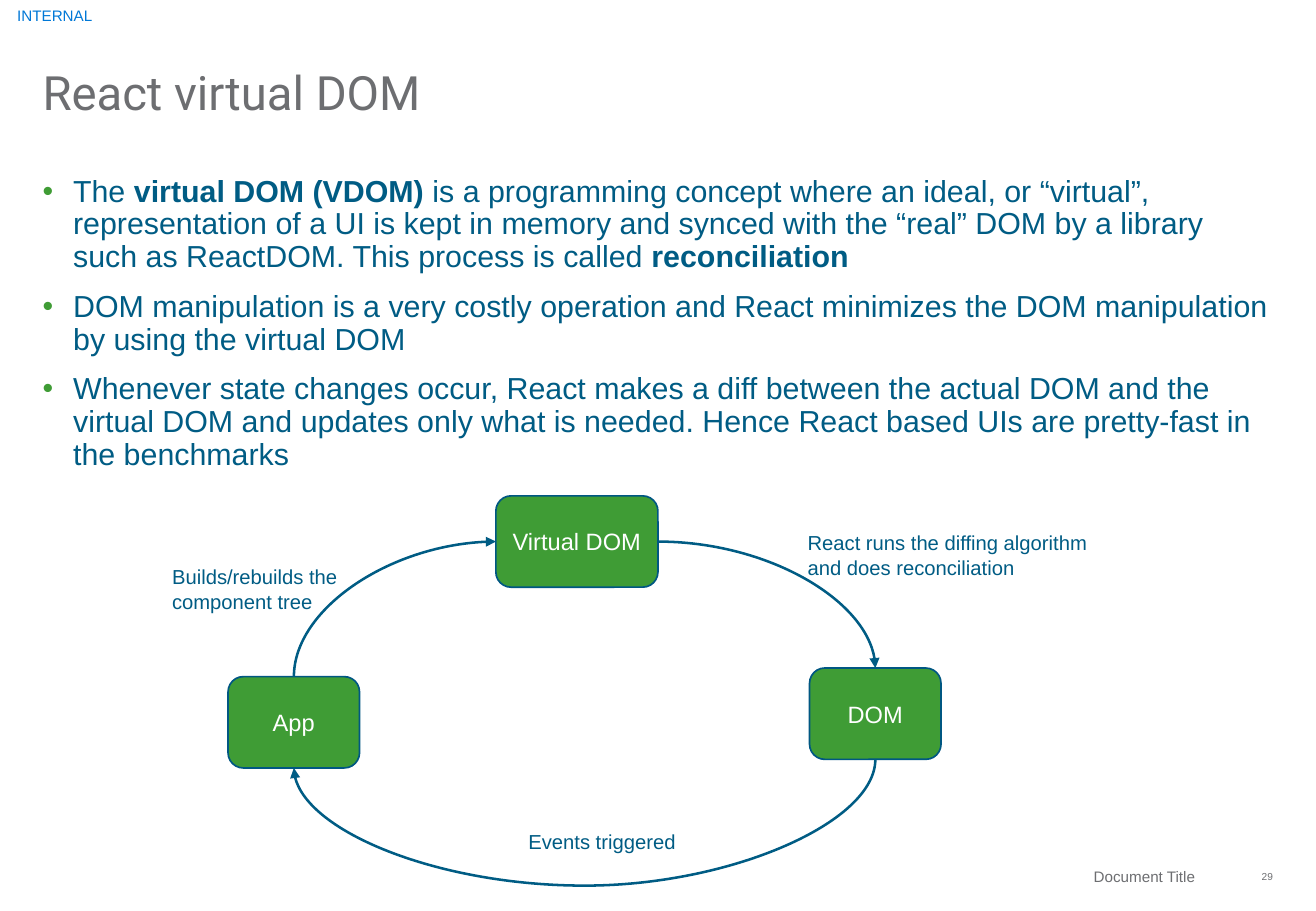
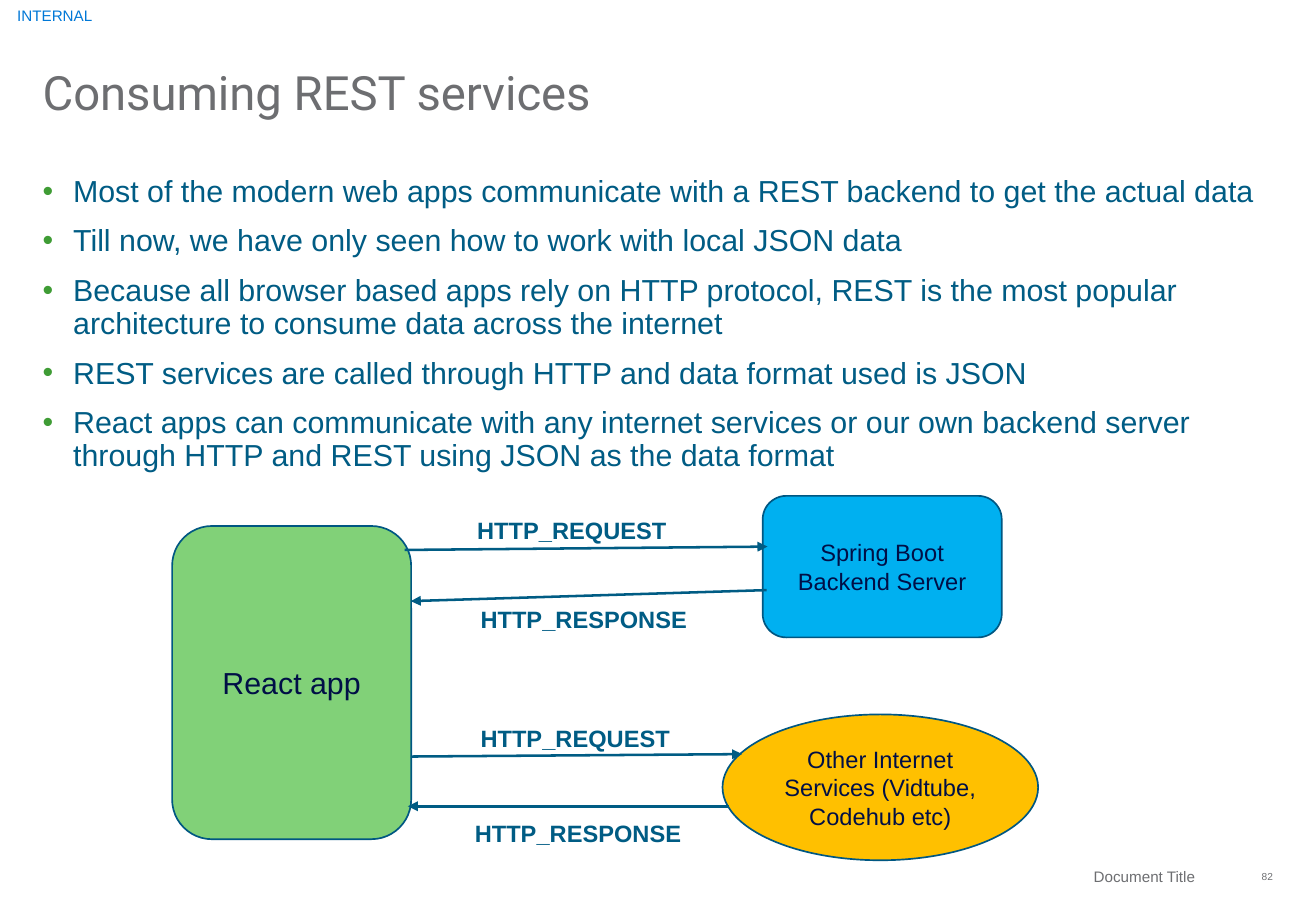
from pptx import Presentation
from pptx.dml.color import RGBColor
from pptx.enum import shapes, text
from pptx.oxml import ns
from pptx.util import Cm, Pt
from lxml import etree

BLUE, GREEN, GREY, WHITE = "005C84", "3F9C35", "6D6E71", "FFFFFF"
NAVY, OUTLINE, LABEL_BLUE = "000F46", "005782", "0078D7"
LEFT, CONTENT_WIDTH = 0.89, 25.73
ROUNDED = shapes.MSO_SHAPE.ROUNDED_RECTANGLE
OVAL = shapes.MSO_SHAPE.OVAL
TOP_SITE, LEFT_SITE, BOTTOM_SITE, RIGHT_SITE = range(4)


def rgb(value):
    return RGBColor.from_string(value)


def add_xml(parent, tag, **attributes):
    return etree.SubElement(parent, ns.qn(tag), attributes)


def style(paragraph, size, color, bold=None, align=text.PP_ALIGN.LEFT, name="Arial"):
    paragraph.alignment = align
    font = paragraph.font
    font.name, font.size, font.bold = name, Pt(size), bold
    font.color.rgb = rgb(color)


def set_margins(frame, left=0, right=0):
    frame.margin_left, frame.margin_right = Cm(left), Cm(right)
    frame.margin_top = frame.margin_bottom = 0


def add_label(slide, content, box, size=12, color=BLUE, **options):
    frame = slide.shapes.add_textbox(*map(Cm, box)).text_frame
    frame.word_wrap = True
    frame.text = content
    style(frame.paragraphs[0], size, color, **options)
    return frame


def add_margin_label(slide, content, box, size, color, align, left=0, right=0):
    """Add a header or footer label, centred vertically in its box."""
    frame = add_label(slide, content, box, size, color, align=align)
    frame.vertical_anchor = text.MSO_ANCHOR.MIDDLE
    set_margins(frame, left, right)


def add_base_slide(presentation, title, number):
    """Add a slide with its title, classification, footer and page number."""
    slide = presentation.slides.add_slide(presentation.slide_layouts[5])
    shape = slide.shapes.title
    shape.left, shape.top = Cm(LEFT), Cm(0.56)
    shape.width, shape.height = Cm(CONTENT_WIDTH), Cm(1.96)
    frame = shape.text_frame
    frame.text = title
    frame.auto_size = text.MSO_AUTO_SIZE.NONE
    frame.vertical_anchor = text.MSO_ANCHOR.BOTTOM
    set_margins(frame)
    frame.paragraphs[0].line_spacing = 0.9
    style(frame.paragraphs[0], 28, GREY, name="Roboto")

    align = text.PP_ALIGN
    add_margin_label(slide, "INTERNAL", (0, 0, 2.29, 0.66), 9, LABEL_BLUE,
                     align.LEFT, left=0.36)
    add_margin_label(slide, "Document Title", (15.72, 17.98, 9.65, 0.71), 9, GREY,
                     align.RIGHT, right=0.38)
    add_margin_label(slide, str(number), (25.63, 17.91, 0.99, 0.84), 6, GREY,
                     align.RIGHT)
    return slide


def add_bullets(slide, items):
    """Add the bullet list; text between ** marks is bold."""
    box = (LEFT, 3.68, CONTENT_WIDTH, 8.4)
    frame = slide.shapes.add_textbox(*map(Cm, box)).text_frame
    frame.word_wrap = True
    set_margins(frame)
    for index, item in enumerate(items):
        paragraph = frame.paragraphs[0] if index == 0 else frame.add_paragraph()
        for position, part in enumerate(item.split("**")):
            if part:
                run = paragraph.add_run()
                run.text = part
                if position % 2:
                    run.font.bold = True
        properties = paragraph._p.get_or_add_pPr()
        properties.set("marL", str(Cm(0.64)))
        properties.set("indent", str(-Cm(0.64)))
        add_xml(add_xml(properties, "a:buClr"), "a:srgbClr", val=GREEN)
        add_xml(properties, "a:buFont", typeface="Arial")
        add_xml(properties, "a:buChar", char="•")
        paragraph.line_spacing = 0.9
        paragraph.space_before = Pt(10 if index else 0)
        style(paragraph, 18, BLUE)


def add_node(slide, content, box, fill, color, size=14, kind=ROUNDED):
    shape = slide.shapes.add_shape(kind, *map(Cm, box))
    shape.shadow.inherit = False
    shape.fill.solid()
    shape.fill.fore_color.rgb = rgb(fill)
    shape.line.color.rgb = rgb(OUTLINE)
    shape.line.width = Pt(1)
    frame = shape.text_frame
    frame.word_wrap = True
    frame.vertical_anchor = text.MSO_ANCHOR.MIDDLE
    frame.text = content
    style(frame.paragraphs[0], size, color, align=text.PP_ALIGN.CENTER)
    return shape


def add_arrow(slide, start=(0, 0), end=(0, 0), kind=shapes.MSO_CONNECTOR.STRAIGHT):
    connector = slide.shapes.add_connector(kind, *map(Cm, start + end))
    connector.line.color.rgb = rgb(BLUE)
    connector.line.width = Pt(1.5)
    add_xml(connector.line._get_or_add_ln(), "a:tailEnd", type="triangle")
    add_xml(connector._element.spPr, "a:effectLst")
    return connector


def add_curve(slide, source, source_site, target, target_site, bulge=None):
    """Glue a curved arrow to two nodes; bulge is its reach past the source."""
    connector = add_arrow(slide, kind=shapes.MSO_CONNECTOR.CURVE)
    connector.begin_connect(source, source_site)
    connector.end_connect(target, target_site)
    start_x, start_y = connector.begin_x, connector.begin_y
    across, down = connector.end_x - start_x, connector.end_y - start_y
    vertical = source_site in (TOP_SITE, BOTTOM_SITE)
    width, height = (abs(down), abs(across)) if vertical else (abs(across), abs(down))
    flips = (down < 0, across > 0) if vertical else (across < 0, down < 0)

    connector.left = int(start_x + (across - width) / 2)
    connector.top = int(start_y + (down - height) / 2)
    connector.width, connector.height = width, height
    properties = connector._element.spPr
    frame = properties.find(ns.qn("a:xfrm"))
    frame.set("rot", "5400000" if vertical else "0")
    for name, flipped in zip(("flipH", "flipV"), flips):
        frame.set(name, str(int(flipped)))
    geometry = properties.find(ns.qn("a:prstGeom"))
    if bulge is None:
        geometry.set("prst", "curvedConnector2")
    else:
        ratio = round(Cm(bulge) / width * 100000)
        adjustments = geometry.find(ns.qn("a:avLst"))
        add_xml(adjustments, "a:gd", name="adj1", fmla=f"val {ratio}")


def add_virtual_dom_slide(presentation):
    slide = add_base_slide(presentation, "React virtual DOM", 29)
    add_bullets(slide, [
        "The **virtual DOM (VDOM) **is a programming concept where an ideal, or "
        "“virtual”, representation of a UI is kept in memory and synced with the "
        "“real” DOM by a library such as ReactDOM. This process is called "
        "**reconciliation**",
        "DOM manipulation is a very costly operation and React minimizes the DOM "
        "manipulation by using the virtual DOM",
        "Whenever state changes occur, React makes a diff between the actual DOM and "
        "the virtual DOM and updates only what is needed. Hence React based UIs are "
        "pretty-fast in the benchmarks",
    ])
    app, virtual_dom, dom = (
        add_node(slide, name, (left, top, width, 1.91), GREEN, WHITE)
        for name, left, top, width in (
            ("App", 4.77, 14.15, 2.75),
            ("Virtual DOM", 10.37, 10.37, 3.39),
            ("DOM", 16.93, 13.97, 2.75),
        )
    )
    add_curve(slide, virtual_dom, RIGHT_SITE, dom, TOP_SITE)
    add_curve(slide, dom, BOTTOM_SITE, app, BOTTOM_SITE, bulge=2.64)
    add_curve(slide, app, TOP_SITE, virtual_dom, LEFT_SITE)
    add_label(slide, "React runs the diffing algorithm and does reconciliation",
              (16.64, 10.97, 7.09, 1.27))
    add_label(slide, "Builds/rebuilds the component tree", (3.35, 11.68, 4.22, 1.27))
    add_label(slide, "Events triggered", (10.8, 17.22, 4.22, 0.76))


def add_rest_slide(presentation):
    slide = add_base_slide(presentation, "Consuming REST services", 82)
    add_bullets(slide, [
        "Most of the modern web apps communicate with a REST backend to get the actual "
        "data",
        "Till now, we have only seen how to work with local JSON data",
        "Because all browser based apps rely on HTTP protocol, REST is the most popular "
        "architecture to consume data across the internet",
        "REST services are called through HTTP and data format used is JSON",
        "React apps can communicate with any internet services or our own backend "
        "server through HTTP and REST using JSON as the data format",
    ])
    add_node(slide, "React app", (3.6, 11, 5, 6.55), "81D178", NAVY, size=18)
    add_node(slide, "Spring Boot Backend Server", (15.95, 10.37, 5, 2.96),
             "00B0F0", NAVY)
    add_node(slide, "Other Internet Services (Vidtube, Codehub etc)",
             (15.11, 14.94, 6.6, 3.05), "FFC000", NAVY, kind=OVAL)
    for start, end, content, left, top in (
        ((8.46, 11.5), (16.05, 11.43), "HTTP_REQUEST", 9.73, 10.67),
        ((16.03, 12.34), (8.59, 12.57), "HTTP_RESPONSE", 9.8, 12.52),
        ((8.59, 15.82), (15.52, 15.77), "HTTP_REQUEST", 9.8, 15.01),
        ((15.24, 16.86), (8.53, 16.86), "HTTP_RESPONSE", 9.68, 16.99),
    ):
        add_arrow(slide, start, end)
        add_label(slide, content, (left, top, 5.3, 0.86), size=14, bold=True)


def main():
    presentation = Presentation()
    presentation.slide_width, presentation.slide_height = Cm(27.52), Cm(19.05)
    add_virtual_dom_slide(presentation)
    add_rest_slide(presentation)
    presentation.save("out.pptx")


if __name__ == "__main__":
    main()
